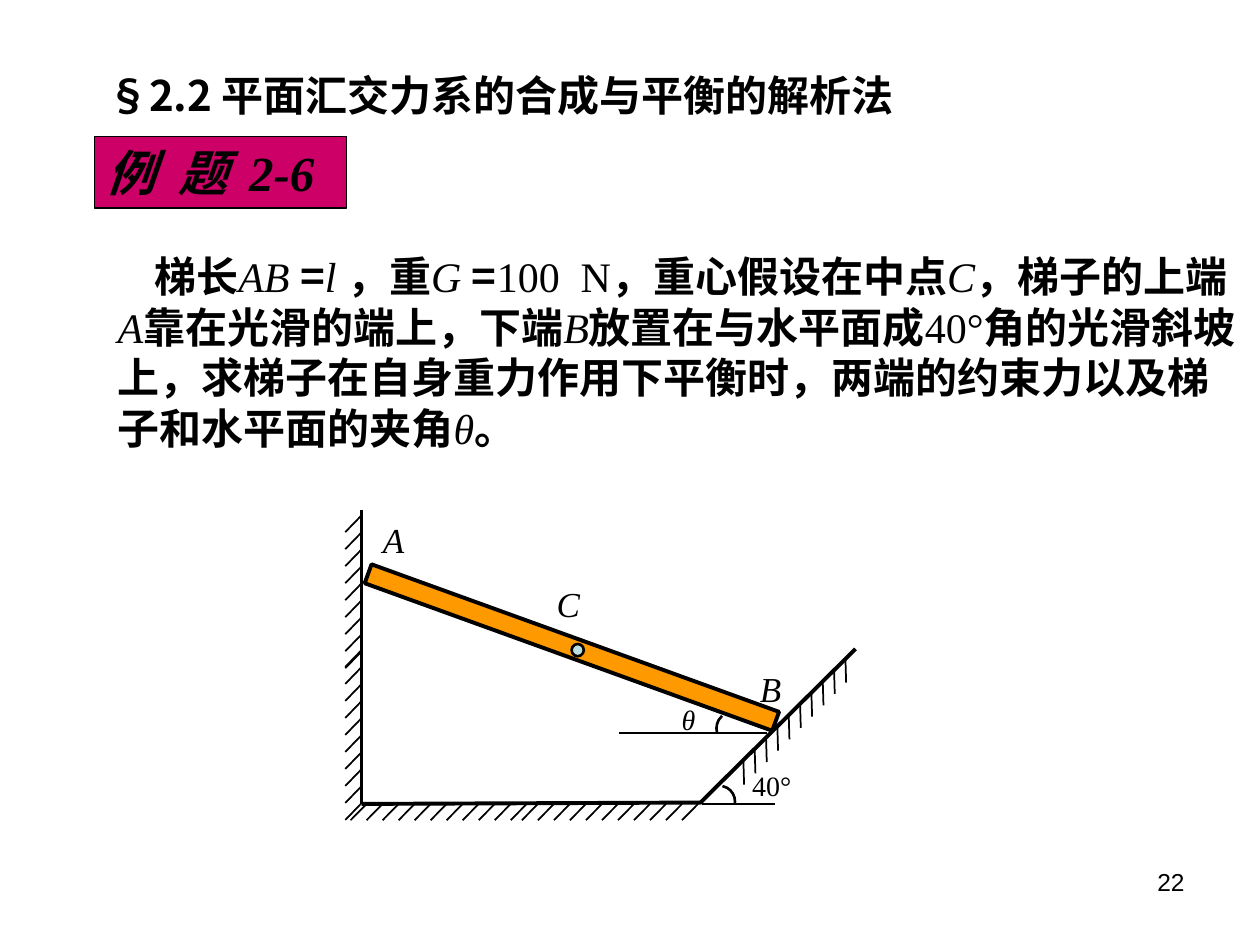
from dataclasses import dataclass
from typing import Any

import lxml.etree
import pptx
import pptx.dml.color
import pptx.enum.shapes
import pptx.enum.text
import pptx.oxml.ns
import pptx.util

Pt = pptx.util.Pt
RGBColor = pptx.dml.color.RGBColor
Shape = pptx.enum.shapes.MSO_SHAPE
Align = pptx.enum.text.PP_ALIGN
Anchor = pptx.enum.text.MSO_ANCHOR
qn = pptx.oxml.ns.qn

BLACK = RGBColor(0x00, 0x00, 0x00)
ORANGE = RGBColor(0xFF, 0x99, 0x00)
PALE_BLUE = RGBColor(0xBB, 0xE0, 0xE3)
MAGENTA = RGBColor(0xCC, 0x00, 0x66)

CJK = "Noto Sans CJK SC"
TIMES = "Times New Roman"
HAN = {"name": CJK, "bold": True, "italic": False}
SYMBOL = {"name": TIMES, "bold": False, "italic": True}
NUMBER = {"name": TIMES, "bold": False, "italic": False}


@dataclass
class Line:
    x1: float
    y1: float
    x2: float
    y2: float
    width: float = 1


@dataclass
class Hatch:
    """Equal parallel strokes: first start point, step, stroke vector."""
    x: float
    y: float
    step_x: float
    step_y: float
    dx: float
    dy: float
    count: int


@dataclass
class Arc:
    cx: float
    cy: float
    radius: float
    start: float
    end: float


@dataclass
class Label:
    text: str
    x: float
    y: float
    w: float
    h: float
    size: float
    style: dict[str, Any]


HATCHES = [
    Hatch(209.5, 459.4, 9.15, 0, -9.15, 9.3, 11),    # ground, left
    Hatch(307.4, 459.4, 9.15, 0, -9.15, 9.3, 11),    # ground, right
    Hatch(206.6, 294.5, 0, 9.72, -9.3, 9.6, 9),      # wall, upper
    Hatch(206.6, 371.5, 0, 9.72, -9.3, 9.6, 10),     # wall, lower
    Hatch(424.8, 434.9, 6.48, -6.48, 0.4, 13.5, 10),  # slope
]
LINES = [
    Line(206.6, 459.4, 401.8, 458.6, 2.25),  # ground
    Line(206.6, 459.4, 206.6, 291.6, 2.25),  # wall
    Line(400.3, 458.6, 488.9, 370.8, 2.25),  # slope
    Line(438.5, 419, 353.5, 419),            # horizontal through B
    Line(401, 459.4, 442.8, 459.4),          # horizontal at the slope foot
]
ARCS = [
    Arc(411, 458, 9, 282, 8),     # 40°
    Arc(419, 416.2, 9.6, 166, 228),  # θ
]
LABELS = [
    Label("40°", 422.6, 429.1, 36.7, 33.1, 16, NUMBER),
    Label("θ", 382.3, 391, 22.3, 33.1, 16, SYMBOL),
    Label("A", 211.7, 284.4, 26.6, 39.6, 20, SYMBOL),
    Label("C", 311, 321.1, 27.4, 39.6, 20, SYMBOL),
    Label("B", 427, 369.4, 26.6, 39.6, 20, SYMBOL),
]
PROBLEM = [
    ("梯长", HAN), ("AB ", SYMBOL), ("=", HAN), ("l ", SYMBOL),
    ("，重", HAN), ("G ", SYMBOL), ("=", HAN), ("100  N", NUMBER),
    ("，重心假设在中点", HAN), ("C", SYMBOL), ("，梯子的上端", HAN),
    ("A", SYMBOL), ("靠在光滑的端上，下端", HAN), ("B", SYMBOL),
    ("放置在与水平面成", HAN), ("40°", NUMBER),
    ("角的光滑斜坡上，求梯子在自身重力作用下平衡时，两端的约束力以及梯子和水平面的夹角", HAN),
    ("θ", SYMBOL), ("。", HAN),
]


def apply(target: Any, values: dict[str, Any]) -> None:
    for key, value in values.items():
        setattr(target, key, value)


def place(sp: Any, x: float, y: float, w: float, h: float) -> None:
    apply(sp, {"left": Pt(x), "top": Pt(y), "width": Pt(w), "height": Pt(h)})


def add_run(p: Any, text: str, size: float, style: dict[str, Any]) -> None:
    r = p.add_run()
    r.text = text
    apply(r.font, {**style, "size": Pt(size)})
    r.font.color.rgb = BLACK
    ea = lxml.etree.SubElement(r.font._element, qn("a:ea"))
    ea.set("typeface", CJK)


def set_outline(sp: Any, width: float) -> None:
    sp.line.color.rgb = BLACK
    sp.line.width = Pt(width)


def add_line(shapes: Any, ln: Line) -> None:
    c = shapes.add_connector(pptx.enum.shapes.MSO_CONNECTOR.STRAIGHT,
                             Pt(ln.x1), Pt(ln.y1), Pt(ln.x2), Pt(ln.y2))
    set_outline(c, ln.width)
    lxml.etree.SubElement(c._element.spPr, qn("a:effectLst"))


def add_hatch(shapes: Any, h: Hatch) -> None:
    for i in range(h.count):
        x, y = h.x + i * h.step_x, h.y + i * h.step_y
        add_line(shapes, Line(x, y, x + h.dx, y + h.dy))


def add_shape(shapes: Any, kind: Any, x: float, y: float, w: float, h: float,
              fill: RGBColor | None, width: float) -> Any:
    sp = shapes.add_shape(kind, Pt(x), Pt(y), Pt(w), Pt(h))
    sp.shadow.inherit = False
    if fill is None:
        sp.fill.background()
    else:
        sp.fill.solid()
        sp.fill.fore_color.rgb = fill
    set_outline(sp, width)
    return sp


def add_arc(shapes: Any, a: Arc) -> None:
    sp = add_shape(shapes, Shape.ARC, a.cx - a.radius, a.cy - a.radius,
                   2 * a.radius, 2 * a.radius, None, 1.5)
    # Angles are stored in 60000ths of a degree, adjustments in 100000ths
    for i, angle in enumerate((a.start, a.end)):
        sp.adjustments[i] = angle * 0.6


def add_label(shapes: Any, lb: Label) -> None:
    tf = shapes.add_textbox(Pt(lb.x), Pt(lb.y), Pt(lb.w), Pt(lb.h)).text_frame
    apply(tf, {"word_wrap": False, "vertical_anchor": Anchor.MIDDLE})
    p = tf.paragraphs[0]
    apply(p, {"alignment": Align.CENTER, "line_spacing": 1.35})
    add_run(p, lb.text, lb.size, lb.style)


def main() -> None:
    prs = pptx.Presentation()
    apply(prs, {"slide_width": Pt(720), "slide_height": Pt(540)})
    s = prs.slides.add_slide(prs.slide_layouts[1])
    title, body = s.placeholders
    no_fit = pptx.enum.text.MSO_AUTO_SIZE.NONE

    # Section title
    place(title, 54, 36, 480, 65)
    tf = title.text_frame
    apply(tf, {"vertical_anchor": Anchor.TOP, "auto_size": no_fit, "word_wrap": True})
    p = tf.paragraphs[0]
    p.alignment = Align.LEFT
    add_run(p, "§2.2 平面汇交力系的合成与平衡的解析法", 24, HAN)

    # Problem statement
    place(body, 60, 138, 660, 126)
    tf = body.text_frame
    apply(tf, {"vertical_anchor": Anchor.MIDDLE, "auto_size": no_fit, "word_wrap": True})
    p = tf.paragraphs[0]
    p.space_before = Pt(0)
    pPr = p._p.get_or_add_pPr()
    pPr.set("marL", "0")
    pPr.set("indent", str(Pt(21)))
    lxml.etree.SubElement(pPr, qn("a:buNone"))
    for text, style in PROBLEM:
        add_run(p, text, 24, style)

    # Ladder figure
    fig = s.shapes.add_group_shape().shapes
    for hatch in HATCHES:
        add_hatch(fig, hatch)
    for line in LINES:
        add_line(fig, line)
    ladder = add_shape(fig, Shape.RECTANGLE, 203, 364.3, 247.7, 11.5, ORANGE, 2.25)
    ladder.rotation = 19.9
    for arc in ARCS:
        add_arc(fig, arc)
    for label in LABELS:
        add_label(fig, label)
    add_shape(fig, Shape.OVAL, 326.6, 368, 7, 7, PALE_BLUE, 1.5)

    # Example badge
    badge = add_shape(s.shapes, Shape.RECTANGLE, 54, 78, 144, 41, MAGENTA, 1)
    tf = badge.text_frame
    apply(tf, {"vertical_anchor": Anchor.TOP, "word_wrap": True})
    p = tf.paragraphs[0]
    p.alignment = Align.LEFT
    add_run(p, "例  题  2-6", 28, {"name": TIMES, "bold": True, "italic": True})

    # Page number
    tf = s.shapes.add_textbox(Pt(516), Pt(492), Pt(168), Pt(37.5)).text_frame
    tf.word_wrap = True
    p = tf.paragraphs[0]
    p.alignment = Align.RIGHT
    add_run(p, "22", 14, {"name": "Arial"})

    prs.save("out.pptx")


if __name__ == "__main__":
    main()
